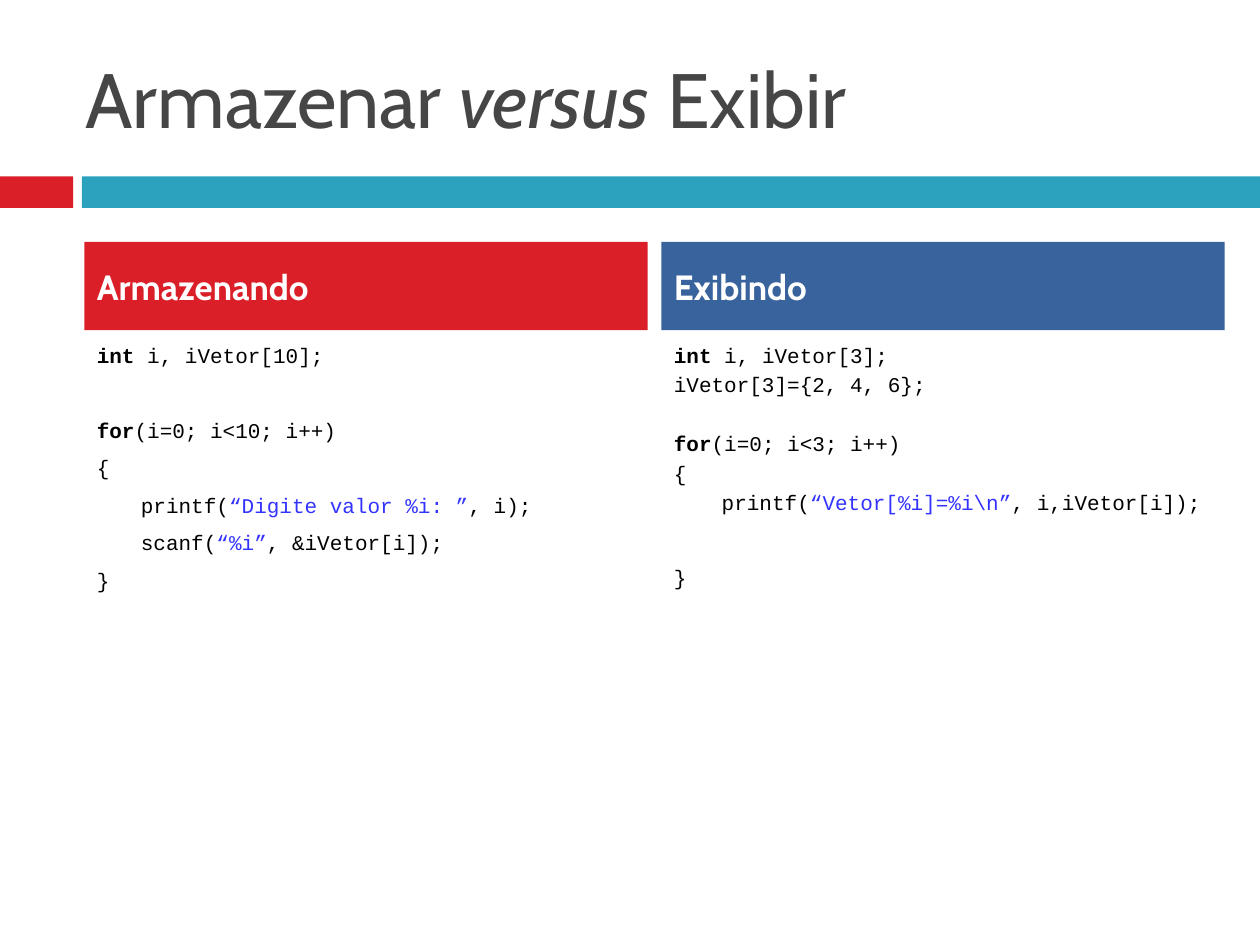
from pptx import Presentation
from pptx import util as u
from pptx.dml.color import RGBColor
from pptx.enum import shapes, text

RED, TEAL, BLUE, WHITE = "DA1F28", "2DA2BF", "39639D", "FFFFFF"
INK, CODE, STRING = "464646", "000000", "3333FF"
LINE = 14.4

deck = Presentation()
deck.slide_width, deck.slide_height = u.Inches(10), u.Inches(7.5)
page = deck.slides.add_slide(deck.slide_layouts[6])


def add_box(left, top, width, height, fill=None):
    """Add a text box, or a plain rectangle when a fill is given."""
    place = [u.Inches(value) for value in (left, top, width, height)]
    if fill is None:
        box = page.shapes.add_textbox(*place)
    else:
        box = page.shapes.add_shape(shapes.MSO_SHAPE.RECTANGLE, *place)
        box.shadow.inherit = False
        box.fill.solid()
        box.fill.fore_color.rgb = RGBColor.from_string(fill)
        box.line.fill.background()
    box.text_frame.word_wrap = True
    box.text_frame.vertical_anchor = text.MSO_ANCHOR.MIDDLE
    return box


def add_span(para, words, font="Cabin", size=12, color=CODE, bold=False, italic=False):
    """Append formatted words to a left-aligned paragraph."""
    para.alignment = text.PP_ALIGN.LEFT
    span = para.add_run()
    span.text = words
    span.font.name, span.font.size = font, u.Pt(size)
    span.font.bold, span.font.italic = bold, italic
    span.font.color.rgb = RGBColor.from_string(color)


add_box(0, 1.4, 0.58, 0.25, RED)
add_box(0.65, 1.4, 9.35, 0.25, TEAL)

title = add_box(0.58, 0.3, 9.14, 0.95).text_frame.paragraphs[0]
for words, italic in (("Armazenar ", False), ("versus", True), (" Exibir", False)):
    add_span(title, words, size=44, color=INK, italic=italic)

# Each code line: space before in points, indented or not, then (words, style) pairs.
storing = [
    (7, False, [("int", "key"), (" i, iVetor[10];", "")]),
    (LINE + 14, False, [("for", "key"), ("(i=0; i<10; i++)", "")]),
    (7, False, [("{", "")]),
    (7, True, [("printf(", ""), ("“Digite valor %i: ”", "string"), (", i);", "")]),
    (7, True, [("scanf(", ""), ("“%i”", "string"), (", &iVetor[i]);", "")]),
    (7, False, [("}", "")]),
]
showing = [
    (2.4, False, [("int", "key"), (" i, iVetor[3];", "")]),
    (2.4, False, [("iVetor[3]={2, 4, 6};", "")]),
    (LINE + 4.8, False, [("for", "key"), ("(i=0; i<3; i++)", "")]),
    (2.4, False, [("{", "")]),
    (2.4, True, [("printf(", ""), ("“Vetor[%i]=%i\\n”", "string"), (", i,iVetor[i]);", "")]),
    (LINE + 14, False, [("}", "")]),
]
columns = [
    (0.67, "Armazenando", RED, 0.35, storing),
    (5.25, "Exibindo", BLUE, 0.38, showing),
]
for left, heading, fill, indent, code in columns:
    header = add_box(left, 1.92, 4.47, 0.7, fill).text_frame.paragraphs[0]
    header.space_before = u.Pt(7)
    add_span(header, heading, size=20, color=WHITE, bold=True)

    frame = add_box(left, 2.67, 4.47, 4.63).text_frame
    frame.vertical_anchor = text.MSO_ANCHOR.TOP
    for number, (gap, indented, pieces) in enumerate(code):
        para = frame.add_paragraph() if number else frame.paragraphs[0]
        para.space_before, para.line_spacing = u.Pt(gap), u.Pt(LINE)
        if indented:
            para._p.get_or_add_pPr().set("marL", str(u.Inches(indent)))
        for words, style in pieces:
            add_span(para, words, font="Courier New", bold=style == "key",
                     color=STRING if style == "string" else CODE)

deck.save("out.pptx")
